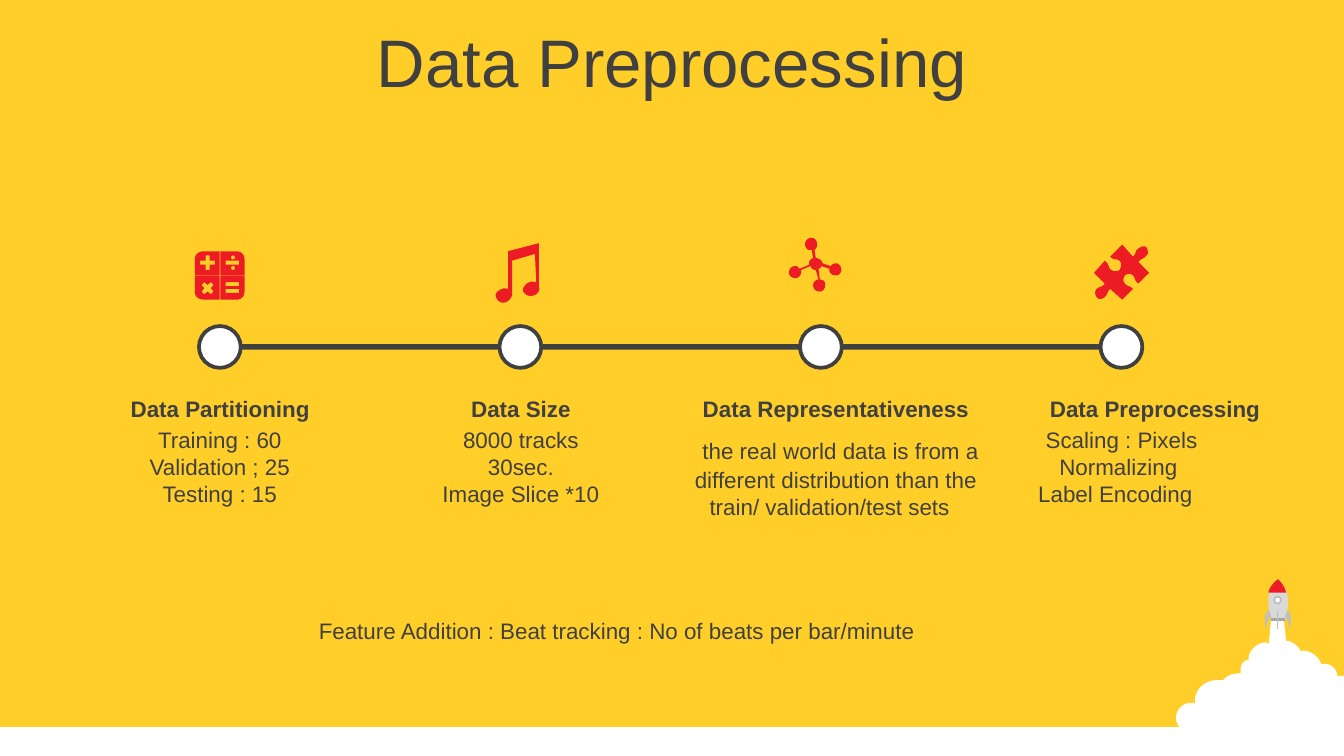
from lxml import etree
from pptx import Presentation
from pptx.dml.color import RGBColor
from pptx.enum.shapes import MSO_SHAPE
from pptx.enum.text import MSO_ANCHOR, MSO_AUTO_SIZE, PP_ALIGN
from pptx.util import Pt

RECT, OVAL = MSO_SHAPE.RECTANGLE, MSO_SHAPE.OVAL
CENTER, MIDDLE = PP_ALIGN.CENTER, MSO_ANCHOR.MIDDLE
FIT = MSO_AUTO_SIZE.SHAPE_TO_FIT_TEXT

YELLOW = RGBColor(0xFF, 0xCE, 0x29)
WHITE = RGBColor(0xFF, 0xFF, 0xFF)
DARK = RGBColor(0x40, 0x40, 0x40)
RED = RGBColor(0xED, 0x1C, 0x24)
LIGHT = RGBColor(0xD9, 0xD9, 0xD9)
SILVER = RGBColor(0xBF, 0xBF, 0xBF)
GRAY = RGBColor(0xA6, 0xA6, 0xA6)

FONT = "Arial"
GRID = 0.72       # points per unit of the outline drawings
CURVE_STEPS = 8

# Outlines: M starts a contour, L adds points, C adds cubic curves
SMOKE = """M 946 459 L 955 459 957 477 959 477 C 962 478 965 480 967 483
L 968 485 969 484 C 975 484 981 488 983 494 L 984 494
C 984 494 985 494 986 494 990 494 994 497 995 502 L 995 503 1000 503
1000 561 886 561 886 545 C 880 545 875 540 875 534 875 528 880 523 886 523
887 523 888 523 888 523 L 889 524 889 522 C 889 513 896 506 906 506
907 506 908 506 909 506 L 910 506 911 505 C 914 502 918 501 923 501
L 923 499 C 923 499 923 499 923 498 923 495 925 492 928 491
L 929 491 929 489 C 930 483 936 478 942 478 L 944 479"""
HULL = "M 946 462 C 944 453 940 440 951 431 962 441 958 454 956 462"
NOSE = "M 951 431 C 954 434 956 437 957 441 L 944 441 944 440 C 945 437 947 434 951 431"
LEFT_FIN = "M 944 454 L 946 459 C 942 461 943 466 942 468 941 465 940 457 944 454"
RIGHT_FIN = "M 958 454 L 956 459 C 959 461 959 466 960 468 960 465 962 457 958 454"
NETWORK = """M 604 177 C 606 177 608 179 608 182 608 184 607 185 606 186 L 607 192
C 609 192 612 194 612 196 L 618 198 C 619 197 620 196 622 196
624 196 626 198 626 201 626 203 624 205 622 205 619 205 617 203 617 201
L 617 200 611 198 C 611 199 610 200 609 200 L 610 208
C 613 208 614 210 614 212 614 215 612 217 610 217 607 217 605 215 605 212
605 210 607 208 609 208 L 607 201 C 605 201 604 200 603 198 L 596 201
C 596 202 596 202 596 203 596 205 594 207 592 207 589 207 587 205 587 203
587 200 589 198 592 198 593 198 594 199 595 200 L 602 197
C 602 196 602 196 602 196 602 194 603 193 605 192 L 604 186
C 601 187 599 184 599 182 599 179 601 177 604 177"""
MUSIC = """M 401 181 L 401 214 C 402 216 400 219 397 220 393 221 390 219 389 216
389 214 391 211 394 210 396 209 397 210 399 210 L 398 189 381 194 381 219
C 381 221 379 224 376 225 373 226 370 224 369 221 368 219 370 216 374 215
375 214 377 215 378 215 L 378 187"""
PUZZLE = """M 853 184 C 854 186 855 189 853 190 851 193 849 192 847 195
L 855 203 847 211 C 844 209 845 207 843 205 841 203 838 204 837 205
836 206 835 209 837 211 840 214 840 212 843 215 L 835 223 826 215
C 823 218 825 218 822 221 820 223 817 223 816 221 815 220 814 217 816 215
818 213 820 214 822 211 L 814 203 822 194 C 826 197 824 199 827 201
829 202 831 202 833 201 834 199 835 196 833 194 830 192 829 194 826 191
L 835 182 843 191 C 846 188 844 187 847 185 849 183 852 183 853 184"""


def box(x, y, w, h):
    return f" M {x} {y} L {x + w} {y} {x + w} {y + h} {x} {y + h}"


def dot(x, y, r):
    k = r * 1.33
    return (f" M {x - r} {y} C {x - r} {y - k} {x + r} {y - k} {x + r} {y}"
            f" {x + r} {y + k} {x - r} {y + k} {x - r} {y}")


# Four rounded keys with their signs cut out
CALCULATOR = """M 152 187 L 163.4 187 163.4 204.9 145 204.9 145 193
C 145 189 148 187 152 187
M 164 187 L 176 187 C 179 187 182 189 182 193 L 182 204.9 164 204.9
M 145 205.4 L 163.4 205.4 163.4 223 152 223 C 148 223 145 221 145 217
M 164 205.4 L 182 205.4 182 217 C 182 221 179 223 176 223 L 164 223
M 153 190 L 156 190 156 194 160 194 160 197 156 197 156 201 153 201 153 197
149 197 149 194 153 194
M 152 210 L 154.5 212 157 210 159 212 157 214.5 159 217 157 219 154.5 217
152 219 150 217 152 214.5 150 212"""
CALCULATOR += "".join(box(168, y, 10, 3) for y in (194, 210, 215))
CALCULATOR += "".join(dot(173.4, y, 1.5) for y in (191.6, 199.4))


def contours(outline):
    """Turn an outline into lists of points, with curves as short lines."""
    result, command, pending = [], "", []
    tokens = iter(outline.split())
    for token in tokens:
        if token in ("M", "L", "C"):
            command = token
            continue
        pending.append((float(token), float(next(tokens))))
        if command == "C" and len(pending) < 3:
            continue
        if command == "M":
            result.append(pending)
        elif command == "L":
            result[-1] += pending
        else:
            curve = [result[-1][-1]] + pending
            for i in range(1, CURVE_STEPS + 1):
                t = i / CURVE_STEPS
                weights = (1 - t) ** 3, 3 * t * (1 - t) ** 2, 3 * t * t * (1 - t), t ** 3
                result[-1].append(tuple(
                    sum(w * p[axis] for w, p in zip(weights, curve)) for axis in (0, 1)))
        pending = []
    return [[(Pt(x * GRID), Pt(y * GRID)) for x, y in c] for c in result]


def write(p, text, size=12, bold=False, color=DARK):
    p.alignment = CENTER
    r = p.add_run()
    r.text = text
    r.font.name, r.font.size, r.font.bold = FONT, Pt(size), bold
    r.font.color.rgb = color


class Deck:
    def __init__(self, prs):
        self.s = prs.slides.add_slide(prs.slide_layouts[5])
        self.s.background.fill.solid()
        self.s.background.fill.fore_color.rgb = YELLOW

    def style(self, sp, fill, line=None, width=1):
        sp.shadow.inherit = False
        sp.fill.solid()
        sp.fill.fore_color.rgb = fill
        if line is None:
            sp.line.fill.background()
        else:
            sp.line.color.rgb = line
            sp.line.width = Pt(width)

    def shape(self, kind, x, y, w, h, fill, **line):
        sp = self.s.shapes.add_shape(kind, Pt(x), Pt(y), Pt(w), Pt(h))
        self.style(sp, fill, **line)

    def drawing(self, outline, fill):
        first, *rest = contours(outline)
        fb = self.s.shapes.build_freeform(*first[0])
        fb.add_line_segments(first[1:])
        for c in rest:
            fb.move_to(*c[0])
            fb.add_line_segments(c[1:])
        self.style(fb.convert_to_shape(), fill)

    def title(self, text, x, y, w, h):
        sp = self.s.shapes.title
        sp.left, sp.top, sp.width, sp.height = Pt(x), Pt(y), Pt(w), Pt(h)
        sp.text_frame.vertical_anchor = MIDDLE
        write(sp.text_frame.paragraphs[0], text, size=36)

    def text(self, lines, x, y, w, h, lead="", **fmt):
        tf = self.s.shapes.add_textbox(Pt(x), Pt(y), Pt(w), Pt(h)).text_frame
        tf.word_wrap, tf.auto_size = True, FIT
        for i, line in enumerate(lines):
            p = tf.add_paragraph() if i else tf.paragraphs[0]
            if lead:
                write(p, lead, size=18)
            write(p, line, **fmt)


def main():
    prs = Presentation()
    prs.slide_width, prs.slide_height = Pt(720), Pt(405)
    d = Deck(prs)

    # Ground and rocket
    d.shape(RECT, 0, 389.5, 720, 15.5, WHITE)
    d.drawing(SMOKE, WHITE)
    d.drawing(HULL, LIGHT)
    d.drawing(box(946, 460, 10, 2.5), GRAY)
    d.drawing(NOSE, RED)
    d.shape(OVAL, 682.6, 319.7, 3.6, 3.6, WHITE, line=SILVER)
    d.shape(RECT, 684.2, 327.6, 0.6, 9.4, SILVER)
    for fin in (LEFT_FIN, RIGHT_FIN):
        d.drawing(fin, SILVER)

    d.title("Data Preprocessing", 0, 10, 720, 45.4)

    # Timeline
    first, step, mid, size = 117.8, 161, 185.9, 22.4
    d.shape(RECT, first, mid - 1.45, 3 * step, 2.9, DARK)
    for i in range(4):
        d.shape(OVAL, first + i * step - size / 2, mid - size / 2, size, size,
                WHITE, line=DARK, width=2)

    # Steps: heading, its left and width, lines, their left and width, lead
    steps = [
        ("Data Partitioning", 47.5, 141,
         ["Training : 60", "Validation ; 25", "Testing : 15"], 65.5, 104.5, ""),
        ("Data Size", 226.8, 104.5,
         ["8000 tracks 30sec.", "Image Slice *10"], 226.8, 104.5, ""),
        ("Data Representativeness", 360, 175.7,
         ["the real world data is from a different distribution than the "
          "train/ validation/test sets  "], 360, 175.7, " "),
        ("Data Preprocessing", 548.6, 140.4,
         ["Scaling : Pixels", "Normalizing ", "Label Encoding  "], 548.6, 104.5, ""),
    ]
    for heading, hx, hw, lines, x, w, lead in steps:
        d.text(lines, x, 224.8, w, 51, lead=lead)
        d.text([heading], hx, 208.3, hw, 21.8, bold=True)
    d.text(["Feature Addition : Beat tracking : No of beats per bar/minute"],
           75.6, 327, 509.8, 21.8)

    # Icons
    for icon in (NETWORK, MUSIC, PUZZLE, CALCULATOR):
        d.drawing(icon, RED)

    prs.save("out.pptx")


if __name__ == "__main__":
    main()
